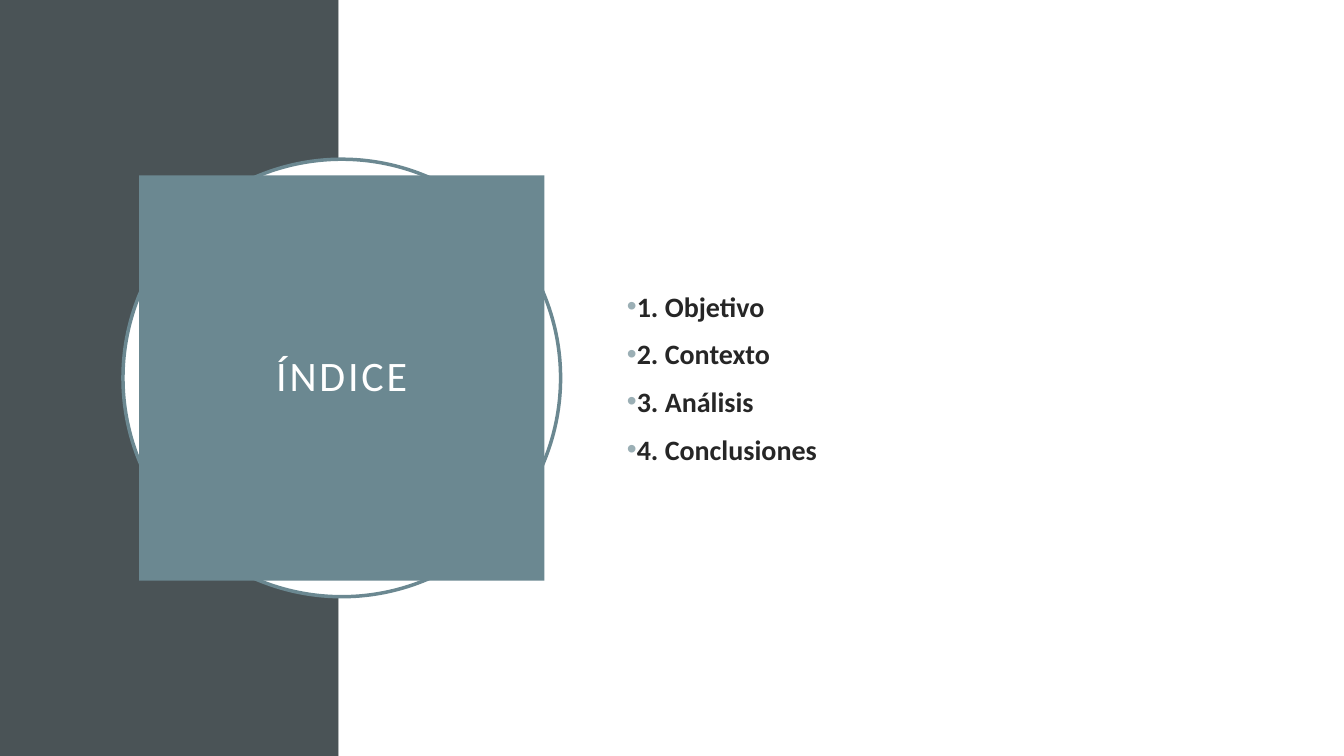
from lxml import etree
from pptx import Presentation
from pptx.dml.color import RGBColor
from pptx.enum.shapes import MSO_SHAPE
from pptx.enum.text import MSO_ANCHOR, PP_ALIGN
from pptx.oxml.ns import qn
from pptx.util import Inches, Pt

RECTANGLE, OVAL = MSO_SHAPE.RECTANGLE, MSO_SHAPE.OVAL
MIDDLE, CENTER = MSO_ANCHOR.MIDDLE, PP_ALIGN.CENTER
PAGE_WIDTH, PAGE_HEIGHT, BAND_WIDTH = 13.33, 7.5, 3.36
WHITE, SLATE, TEAL, PALE_TEAL, INK = "FFFFFF", "4A5356", "6B8891", "9BAFB5", "262626"
TOPICS = ["1. Objetivo", "2. Contexto", "3. Análisis", "4. Conclusiones"]


def color(value):
    """Return the colour for a hex string."""
    return RGBColor.from_string(value)


def add_filled(page, kind, box, fill, line=None):
    """Add a flat shape in the box, outlined only if a line colour is given."""
    shape = page.shapes.add_shape(kind, *map(Inches, box))
    shape.shadow.inherit = False
    shape.fill.solid()
    shape.fill.fore_color.rgb = color(fill)
    if line:
        shape.line.color.rgb = color(line)
        shape.line.width = Pt(2.5)
    else:
        shape.line.fill.background()
    return shape


def format_text(para, size, value, bold=False):
    """Set the font of every run in a paragraph."""
    for span in para.runs:
        span.font.name = "Calibri"
        span.font.size = Pt(size)
        span.font.bold = bold
        span.font.color.rgb = color(value)


def add_bullet(para):
    """Give a paragraph a pale bullet with a hanging indent."""
    properties = para._p.get_or_add_pPr()
    properties.set("marL", "0")
    properties.set("indent", str(-Inches(0.25)))
    bullet_color = etree.SubElement(properties, qn("a:buClr"))
    etree.SubElement(bullet_color, qn("a:srgbClr"), val=PALE_TEAL)
    etree.SubElement(properties, qn("a:buFont"), typeface="Arial")
    etree.SubElement(properties, qn("a:buChar"), char="•")


def add_background(page, box):
    """Split the box into a dark band and a white panel."""
    left, top, width, height = box
    add_filled(page, RECTANGLE, (left, top, BAND_WIDTH, height), SLATE)
    add_filled(page, RECTANGLE, (left + BAND_WIDTH, top, width - BAND_WIDTH, height), WHITE)


def add_title(page, box, title):
    """Place the ringed title block in the box."""
    left, top, width, height = box
    inset = 0.16
    add_filled(page, OVAL, box, WHITE, TEAL)
    inner = (left + inset, top + inset, width - 2 * inset, height - 2 * inset)
    frame = add_filled(page, RECTANGLE, inner, TEAL).text_frame
    frame.word_wrap = True
    frame.vertical_anchor = MIDDLE
    frame.margin_left = frame.margin_right = Inches(0.2)
    frame.margin_top = frame.margin_bottom = Inches(0.2)
    frame.text = title
    para = frame.paragraphs[0]
    para.alignment = CENTER
    para.line_spacing = 0.9
    format_text(para, 30, WHITE)
    para.runs[0].font._element.set("spc", "200")


def add_topics(page, box, topics):
    """List the topics as bullets, centred vertically in the box."""
    frame = page.shapes.add_textbox(*map(Inches, box)).text_frame
    frame.word_wrap = True
    frame.vertical_anchor = MIDDLE
    frame.text = "\n".join(topics)
    for para in frame.paragraphs:
        para.space_before = Pt(10)
        add_bullet(para)
        format_text(para, 20, INK, bold=True)


def main():
    """Build the index slide and save it."""
    deck = Presentation()
    deck.slide_width, deck.slide_height = Inches(PAGE_WIDTH), Inches(PAGE_HEIGHT)
    page = deck.slides.add_slide(deck.slide_layouts[6])
    add_background(page, (0, 0, PAGE_WIDTH, PAGE_HEIGHT))
    add_title(page, (1.22, 1.58, 4.34, 4.34), "ÍNDICE")
    add_topics(page, (6.12, 1.53, 5.82, 4.43), TOPICS)
    deck.save("out.pptx")


if __name__ == "__main__":
    main()
